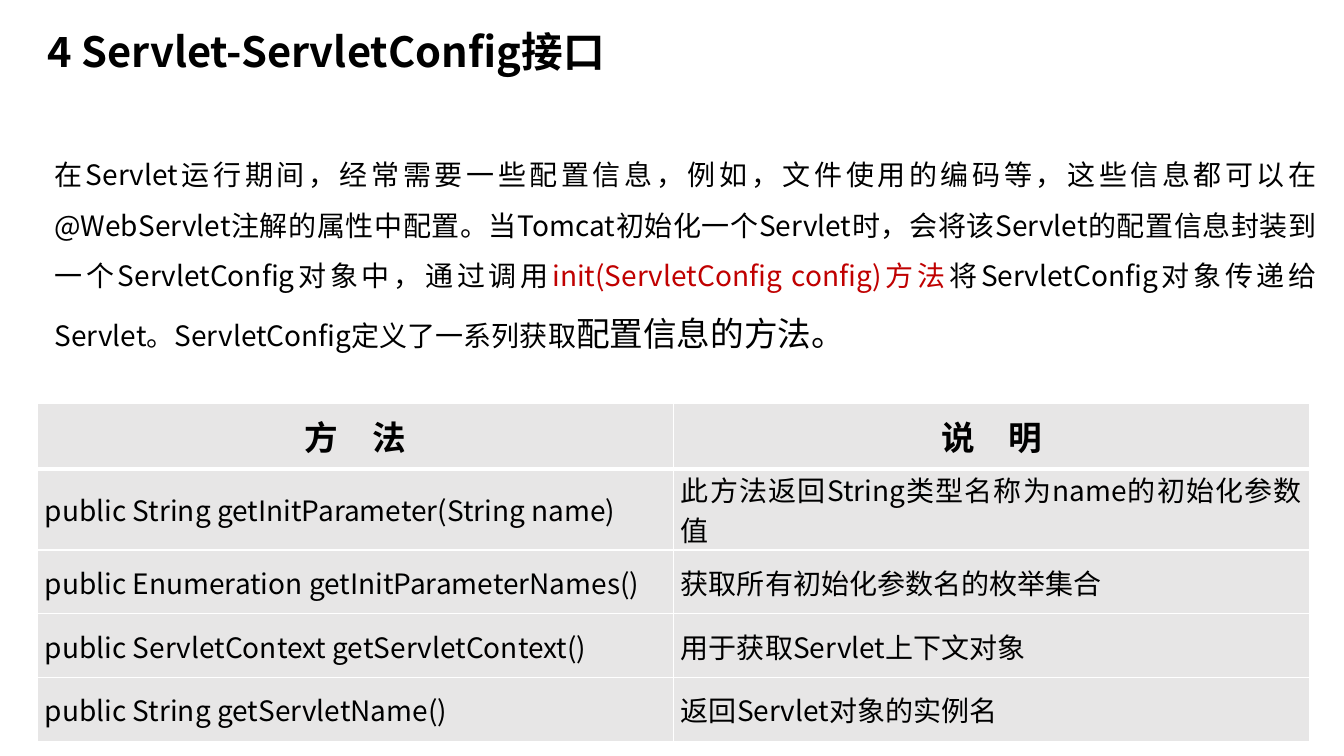
from dataclasses import dataclass

from lxml import etree
from pptx import Presentation
from pptx.dml.color import RGBColor
from pptx.enum.text import MSO_ANCHOR, MSO_AUTO_SIZE, PP_ALIGN
from pptx.oxml.ns import qn
from pptx.util import Cm, Pt

CENTER, JUSTIFY, LEFT = PP_ALIGN.CENTER, PP_ALIGN.JUSTIFY, PP_ALIGN.LEFT
MIDDLE = MSO_ANCHOR.MIDDLE
NO_AUTOFIT = MSO_AUTO_SIZE.NONE

TITLE = "4 Servlet-ServletConfig接口"
INTRO = [
    ("在Servlet运行期间，经常需要一些配置信息，例如，文件使用的编码等，这些信息都可以在"
     "@WebServlet注解的属性中配置。当Tomcat初始化一个Servlet时，会将该Servlet的配置信息"
     "封装到一个ServletConfig对象中，通过调用", {}),
    ("init(ServletConfig config)方法", {"color": "C00000"}),
    ("将ServletConfig对象传递给Servlet。ServletConfig定义了一系列获取", {}),
    ("配置信息的方法。", {"size": 24}),
]
METHODS = [
    ("方　法", "说　明"),
    ("public String getInitParameter(String name)", "此方法返回String类型名称为name的初始化参数值"),
    ("public Enumeration getInitParameterNames()", "获取所有初始化参数名的枚举集合"),
    ("public ServletContext getServletContext()", "用于获取Servlet上下文对象"),
    ("public String getServletName()", "返回Servlet对象的实例名"),
]


@dataclass(frozen=True)
class Theme:
    text: str = "000000"
    cell: str = "E7E6E6"
    border: str = "FFFFFF"
    font: str = "Noto Sans CJK SC"
    header_font: str = "Calibri"
    title_size: float = 29.7
    header_size: float = 24
    body_size: float = 20


T = Theme()


def add_text(p, text, size=T.body_size, color=T.text, font=T.font, bold=False,
             align=None, line=None, space=None):
    if align is not None:
        p.alignment = align
    if line is not None:
        p.line_spacing = line
    if space is not None:
        p.space_before = p.space_after = Pt(space)
    r = p.add_run()
    r.text = text
    r.font.size, r.font.bold, r.font.name = Pt(size), bold, font
    r.font.color.rgb = RGBColor.from_string(color)
    ea = etree.SubElement(r.font._element, qn("a:ea"))
    ea.set("typeface", T.font)


def set_borders(cell, **widths):
    tc_pr = cell._tc.get_or_add_tcPr()
    for side in "LRTB":
        ln = etree.SubElement(tc_pr, qn(f"a:ln{side}"), w=str(Pt(widths.get(side, 1))))
        fill = etree.SubElement(ln, qn("a:solidFill"))
        etree.SubElement(fill, qn("a:srgbClr"), val=T.border)


def place(sp, left, top, width, height):
    sp.left, sp.top, sp.width, sp.height = Cm(left), Cm(top), Cm(width), Cm(height)


def add_title(s):
    sp = s.shapes.title
    place(sp, 0.94, 0.41, 15.19, 1.98)
    tf = sp.text_frame
    tf.auto_size, tf.word_wrap, tf.vertical_anchor = NO_AUTOFIT, True, MIDDLE
    add_text(tf.paragraphs[0], TITLE, size=T.title_size, bold=True, align=LEFT, line=0.8)


def add_intro(s):
    sp = s.shapes.add_textbox(Cm(1.12), Cm(3.43), Cm(32.31), Cm(5.89))
    tf = sp.text_frame
    tf.word_wrap = True
    p = tf.paragraphs[0]
    p.alignment, p.line_spacing = JUSTIFY, 1.5
    for text, style in INTRO:
        add_text(p, text, **style)


def add_methods(s):
    rows, cols = len(METHODS), len(METHODS[0])
    heights = [1.65] + [1.61] * (rows - 1)
    frame = s.shapes.add_table(rows, cols, Cm(0.94), Cm(10.16), Cm(32.06), Cm(sum(heights)))
    table = frame.table
    for col in table.columns:
        col.width = Cm(16.03)
    for i, (values, height) in enumerate(zip(METHODS, heights)):
        table.rows[i].height = Cm(height)
        for j, text in enumerate(values):
            cell = table.cell(i, j)
            cell.margin_left = cell.margin_right = Cm(0.19)
            cell.margin_top = cell.margin_bottom = 0
            cell.vertical_anchor = MIDDLE
            set_borders(cell, T=3 if i == 1 else 1, B=3 if i == 0 else 1)
            cell.fill.solid()
            cell.fill.fore_color.rgb = RGBColor.from_string(T.cell)
            style = {"align": JUSTIFY}
            if i == 0:
                style = {"align": CENTER, "size": T.header_size,
                         "font": T.header_font, "bold": True}
            add_text(cell.text_frame.paragraphs[0], text, space=1.2, **style)


def main():
    prs = Presentation()
    prs.slide_width, prs.slide_height = Cm(33.87), Cm(19.05)
    s = prs.slides.add_slide(prs.slide_layouts[5])
    add_methods(s)
    add_title(s)
    add_intro(s)
    prs.save("out.pptx")


if __name__ == "__main__":
    main()
